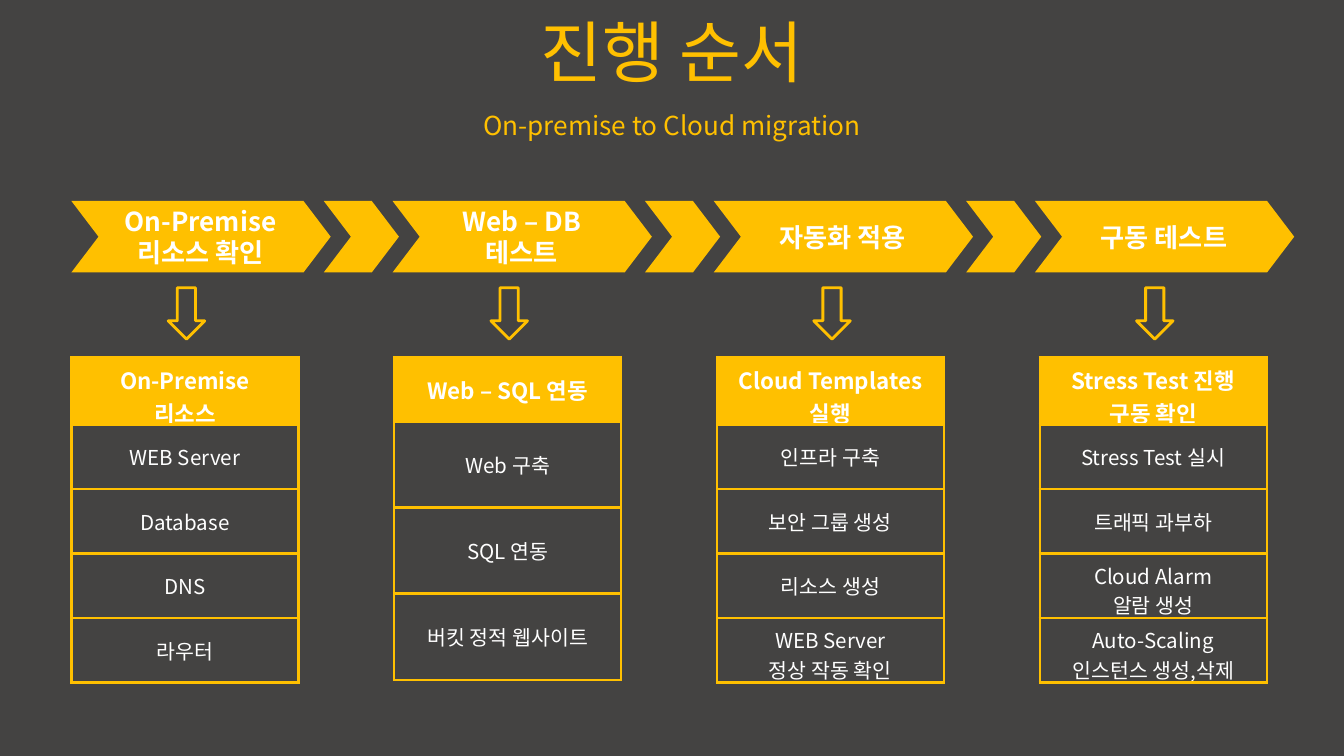
from lxml import etree
from pptx import Presentation
from pptx.dml.color import RGBColor
from pptx.enum.shapes import MSO_SHAPE
from pptx.enum.text import MSO_ANCHOR, PP_ALIGN
from pptx.oxml.ns import qn
from pptx.util import Cm, Pt

CHEVRON, DOWN_ARROW = MSO_SHAPE.CHEVRON, MSO_SHAPE.DOWN_ARROW
CENTER, MIDDLE = PP_ALIGN.CENTER, MSO_ANCHOR.MIDDLE

COLORS = {"background": "444342", "accent": "FFC000", "text": "FFFFFF"}
FONT = "Noto Sans CJK KR"
FORMATS = {
    "title": {"size": Pt(36), "bold": False},
    "subtitle": {"size": Pt(14), "bold": False},
    "step": {"size": Pt(14), "bold": True},
    "header": {"size": Pt(12), "bold": True},
    "item": {"size": Pt(11), "bold": False},
}
BORDER = Pt(1.5)

# Step label, table header, table items
STAGES = [
    (["On-Premise", "리소스 확인"], ["On-Premise", "리소스"],
     [["WEB Server"], ["Database"], ["DNS"], ["라우터"]]),
    (["Web – DB", "테스트"], ["Web – SQL 연동"],
     [["Web 구축"], ["SQL 연동"], ["버킷 정적 웹사이트"]]),
    (["자동화 적용"], ["Cloud Templates", "실행"],
     [["인프라 구축"], ["보안 그룹 생성"], ["리소스 생성"],
      ["WEB Server", "정상 작동 확인"]]),
    (["구동 테스트"], ["Stress Test 진행", "구동 확인"],
     [["Stress Test 실시"], ["트래픽 과부하"], ["Cloud Alarm", "알람 생성"],
      ["Auto-Scaling", "인스턴스 생성,삭제"]]),
]


def rgb(name):
    return RGBColor.from_string(COLORS[name])


def write_lines(frame, lines, style, color="text"):
    for number, line in enumerate(lines):
        paragraph = frame.paragraphs[0] if number == 0 else frame.add_paragraph()
        paragraph.alignment = CENTER
        run = paragraph.add_run()
        run.text = line
        for attribute, value in FORMATS[style].items():
            setattr(run.font, attribute, value)
        run.font.name = FONT
        run.font.color.rgb = rgb(color)
        east_asian = etree.SubElement(run.font._element, qn("a:ea"))
        east_asian.set("typeface", FONT)


def add_label(slide, left, top, width, height, lines, style, color="text"):
    label = slide.shapes.add_textbox(Cm(left), Cm(top), Cm(width), Cm(height))
    label.text_frame.word_wrap = True
    label.text_frame.vertical_anchor = MIDDLE
    write_lines(label.text_frame, lines, style, color)


def add_heading(slide, left, top, width):
    add_label(slide, left, top, width, 1.6, ["진행 순서"], "title", "accent")
    add_label(slide, left, top + 1.81, width, 0.79,
              ["On-premise to Cloud migration"], "subtitle", "accent")


def add_chevron(slide, left, top, width, height):
    chevron = slide.shapes.add_shape(CHEVRON, Cm(left), Cm(top), Cm(width), Cm(height))
    chevron.shadow.inherit = False
    chevron.adjustments[0] = 0.38
    chevron.fill.solid()
    chevron.fill.fore_color.rgb = rgb("accent")
    chevron.line.fill.background()


def add_step_band(slide, left, top, height, pitch):
    """Place the step chevrons, with a short chevron between neighbours."""
    for index, (step, _, _) in enumerate(STAGES):
        step_left = left + index * pitch
        add_chevron(slide, step_left, top, 4.9, height)
        if index < len(STAGES) - 1:
            add_chevron(slide, step_left + 4.77, top, 1.42, height)
        label_height = 1.45 if len(step) > 1 else 0.86
        label_top = top + (height - label_height) / 2
        add_label(slide, step_left + 0.64, label_top, 3.6, label_height, step, "step")


def add_down_arrow(slide, left, top, width, height):
    arrow = slide.shapes.add_shape(DOWN_ARROW, Cm(left), Cm(top), Cm(width), Cm(height))
    arrow.shadow.inherit = False
    arrow.fill.background()
    arrow.line.color.rgb = rgb("accent")
    arrow.line.width = BORDER


def add_cell_borders(cell):
    properties = cell._tc.get_or_add_tcPr()
    for side in ("lnL", "lnR", "lnT", "lnB"):
        line = etree.SubElement(properties, qn(f"a:{side}"), w=str(BORDER))
        fill = etree.SubElement(line, qn("a:solidFill"))
        etree.SubElement(fill, qn("a:srgbClr"), val=COLORS["accent"])


def add_task_table(slide, left, top, width, height, header, items):
    """Place a header row, with the items sharing the remaining height."""
    header_height = 1.22
    table = slide.shapes.add_table(len(items) + 1, 1, Cm(left), Cm(top),
                                   Cm(width), Cm(height)).table
    table.first_row = table.horz_banding = False
    for index, lines in enumerate([header, *items]):
        is_header = index == 0
        table.rows[index].height = Cm(
            header_height if is_header else (height - header_height) / len(items))
        cell = table.cell(index, 0)
        cell.vertical_anchor = MIDDLE
        add_cell_borders(cell)
        if is_header:
            cell.fill.solid()
            cell.fill.fore_color.rgb = rgb("accent")
        else:
            cell.fill.background()
        write_lines(cell.text_frame, lines, "header" if is_header else "item")


def add_stage_details(slide, left, top, width, pitch):
    for index, (_, header, items) in enumerate(STAGES):
        stage_left = left + index * pitch
        add_down_arrow(slide, stage_left + 1.83, top, 0.69, 0.97)
        add_task_table(slide, stage_left, top + 1.31, width, 6.1, header, items)


def main():
    presentation = Presentation()
    presentation.slide_width, presentation.slide_height = Cm(25.4), Cm(14.29)
    slide = presentation.slides.add_slide(presentation.slide_layouts[6])
    slide.background.fill.solid()
    slide.background.fill.fore_color.rgb = rgb("background")
    add_heading(slide, 0, 0.15, 25.4)
    add_step_band(slide, 1.35, 3.8, 1.35, 6.07)
    add_stage_details(slide, 1.35, 5.44, 4.29, 6.1)
    presentation.save("out.pptx")


if __name__ == "__main__":
    main()
